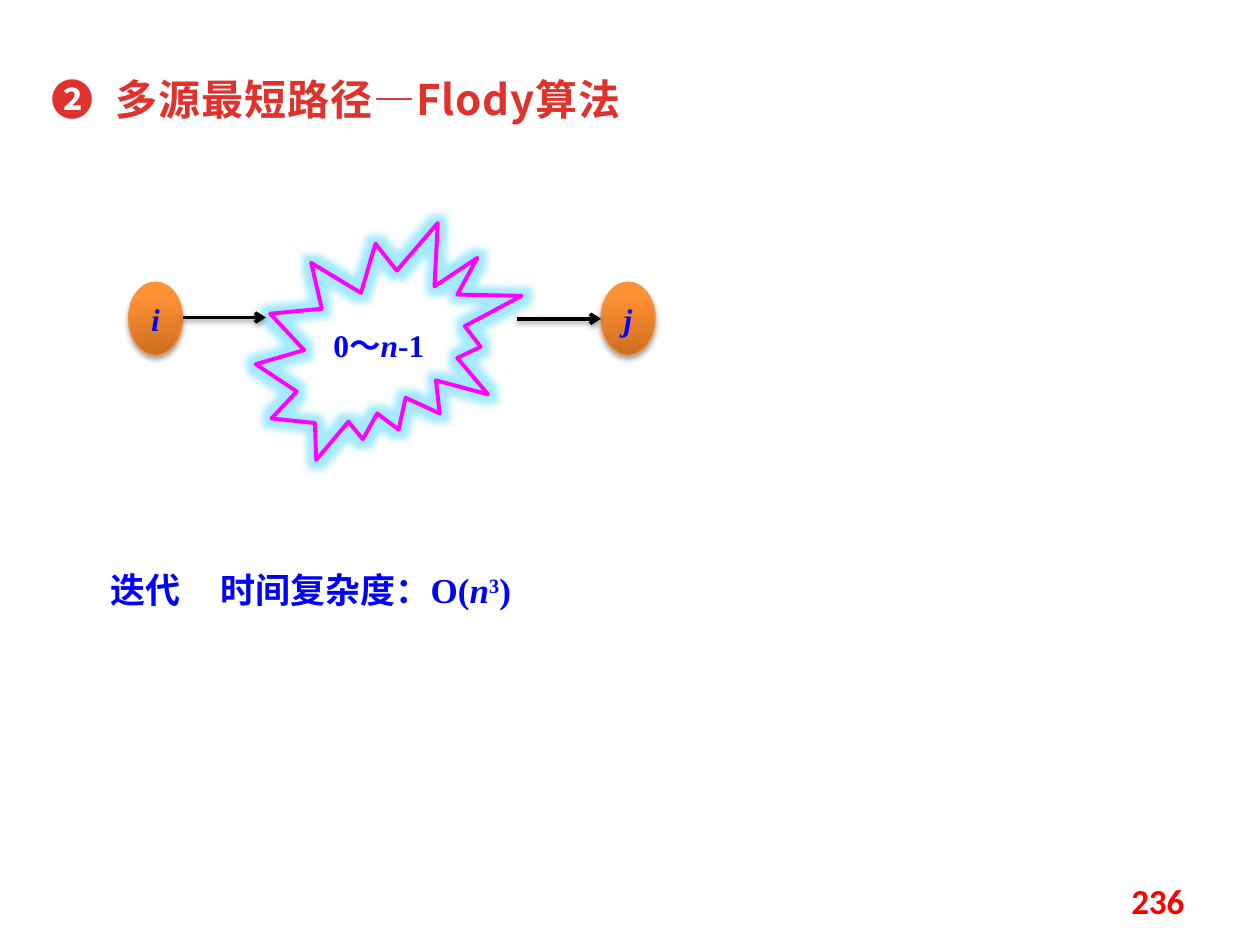
from dataclasses import dataclass

from lxml import etree
from pptx import Presentation
from pptx.dml.color import RGBColor
from pptx.enum import shapes, text
from pptx.oxml import ns
from pptx.util import Emu, Inches, Pt

RED = RGBColor(0xE0, 0x32, 0x2D)
PAGE_RED = RGBColor(0xFF, 0x00, 0x00)
BLUE = RGBColor(0x00, 0x00, 0xFF)
BLACK = RGBColor(0x00, 0x00, 0x00)
MAGENTA = RGBColor(0xFF, 0x00, 0xFF)
GLOW = RGBColor(0x33, 0xD0, 0xFF)
ORANGE = RGBColor(0xFF, 0x90, 0x34)
DARK_ORANGE = RGBColor(0xCC, 0x6E, 0x20)
RIM_ORANGE = RGBColor(0xF6, 0x92, 0x40)

CJK = "Noto Sans CJK SC"
SERIF = "Times New Roman"
SANS = "Calibri"


@dataclass
class Piece:
    wording: str
    italic: bool = False
    raised: bool = False


@dataclass
class Style:
    font: str
    size: float
    color: RGBColor
    spacing: int = 0


@dataclass
class Vertex:
    label: str
    left: float


@dataclass
class Edge:
    start: float
    end: float
    y: float


VERTEX_STYLE = Style(SERIF, 18, BLUE)
VERTICES = [Vertex("i", 1.02), Vertex("j", 4.77)]
EDGES = [Edge(1.45, 2.11, 2.52), Edge(4.1, 4.77, 2.53)]


def add_child(parent, tag: str, **attributes):
    child = etree.SubElement(parent, ns.qn(tag))
    for key, value in attributes.items():
        child.set(key, str(value))
    return child


def add_effect(effects, tag: str, color: RGBColor, alpha: int, **attributes) -> None:
    effect = add_child(effects, tag, **attributes)
    tint = add_child(effect, "a:srgbClr", val=color)
    add_child(tint, "a:alpha", val=alpha * 1000)


def add_shadow(effects, alpha: int, distance: float) -> None:
    add_effect(effects, "a:outerShdw", BLACK, alpha, blurRad=Pt(3.1),
               dist=Pt(distance), dir=5400000, rotWithShape=0)


def write(paragraph, pieces: list[Piece], style: Style) -> None:
    for piece in pieces:
        run = paragraph.add_run()
        run.text = piece.wording
        font = run.font
        font.name, font.size = style.font, Pt(style.size)
        font.bold, font.italic = True, piece.italic
        font.color.rgb = style.color
        properties = run._r.get_or_add_rPr()
        add_child(properties, "a:ea", typeface=CJK)
        if style.spacing:
            properties.set("spc", str(style.spacing))
        if piece.raised:
            properties.set("baseline", "30000")


def format_line(frame, tab: float):
    frame.word_wrap = True
    frame.auto_size = text.MSO_AUTO_SIZE.NONE
    frame.vertical_anchor = text.MSO_ANCHOR.TOP
    paragraph = frame.paragraphs[0]
    stops = add_child(paragraph._p.get_or_add_pPr(), "a:tabLst")
    add_child(stops, "a:tab", pos=Inches(tab), algn="l")
    paragraph.alignment = text.PP_ALIGN.LEFT
    paragraph.line_spacing = Pt(30)
    return paragraph


def write_centred(shape, pieces: list[Piece]) -> None:
    frame = shape.text_frame
    frame.vertical_anchor = text.MSO_ANCHOR.MIDDLE
    frame.paragraphs[0].alignment = text.PP_ALIGN.CENTER
    write(frame.paragraphs[0], pieces, VERTEX_STYLE)


def draw_vertex(slide, vertex: Vertex) -> None:
    oval = slide.shapes.add_shape(shapes.MSO_SHAPE.OVAL, Inches(vertex.left),
                                  Inches(2.24), Inches(0.43), Inches(0.58))
    oval.fill.gradient()
    oval.fill.gradient_angle = 90
    stops = oval.fill.gradient_stops
    for stop, position, color in zip(stops, (0, 0.8), (DARK_ORANGE, ORANGE)):
        stop.position = position
        stop.color.rgb = color
    oval.line.color.rgb = RIM_ORANGE
    oval.line.width = Pt(0.75)
    oval.shadow.inherit = False
    add_shadow(oval._element.spPr.find(ns.qn("a:effectLst")), 35, 1.8)
    write_centred(oval, [Piece(vertex.label, italic=True)])


def draw_intermediates(slide) -> None:
    burst = slide.shapes.add_shape(shapes.MSO_SHAPE.EXPLOSION2, Inches(2.03),
                                   Inches(1.77), Inches(2.11), Inches(1.88))
    burst.fill.background()
    burst.line.color.rgb = MAGENTA
    burst.line.width = Pt(2.25)
    burst.shadow.inherit = False
    add_effect(burst._element.spPr.find(ns.qn("a:effectLst")), "a:glow", GLOW, 45, rad=Pt(8))
    burst.text_frame.margin_left = burst.text_frame.margin_right = Emu(0)
    write_centred(burst, [Piece("0～"), Piece("n", italic=True), Piece("-1")])


def draw_edge(slide, edge: Edge) -> None:
    arrow = slide.shapes.add_connector(shapes.MSO_CONNECTOR.STRAIGHT, Inches(edge.start),
                                       Inches(edge.y), Inches(edge.end), Inches(edge.y))
    arrow.line.color.rgb = BLACK
    arrow.line.width = Pt(2)
    add_child(arrow.line._get_or_add_ln(), "a:tailEnd", type="arrow")
    add_shadow(add_child(arrow._element.spPr, "a:effectLst"), 38, 1.6)


def main() -> None:
    deck = Presentation()
    deck.slide_width, deck.slide_height = Inches(10), Inches(7.5)
    slide = deck.slides.add_slide(deck.slide_layouts[5])

    title = slide.shapes.title
    title.left, title.top = Inches(0.31), Inches(0.52)
    title.width, title.height = Inches(5.94), Inches(0.49)
    write(format_line(title.text_frame, 0.51), [Piece("❷\t多源最短路径―Flody算法")],
          Style(CJK, 24, RED, spacing=50))

    for vertex in VERTICES:
        draw_vertex(slide, vertex)
    draw_intermediates(slide)
    for edge in EDGES:
        draw_edge(slide, edge)

    complexity = slide.shapes.add_textbox(Inches(0.78), Inches(4.38), Inches(4.3), Inches(0.52))
    write(format_line(complexity.text_frame, 0.87),
          [Piece("迭代\t时间复杂度：O("), Piece("n", italic=True),
           Piece("3", raised=True), Piece(")")],
          Style(SERIF, 20, BLUE))

    page = slide.shapes.add_textbox(Inches(7.17), Inches(6.95), Inches(2.33), Inches(0.4))
    page.text_frame.word_wrap = True
    page.text_frame.vertical_anchor = text.MSO_ANCHOR.MIDDLE
    page_line = page.text_frame.paragraphs[0]
    page_line.alignment = text.PP_ALIGN.RIGHT
    write(page_line, [Piece("236")], Style(SANS, 20, PAGE_RED))

    deck.save("out.pptx")


if __name__ == "__main__":
    main()
